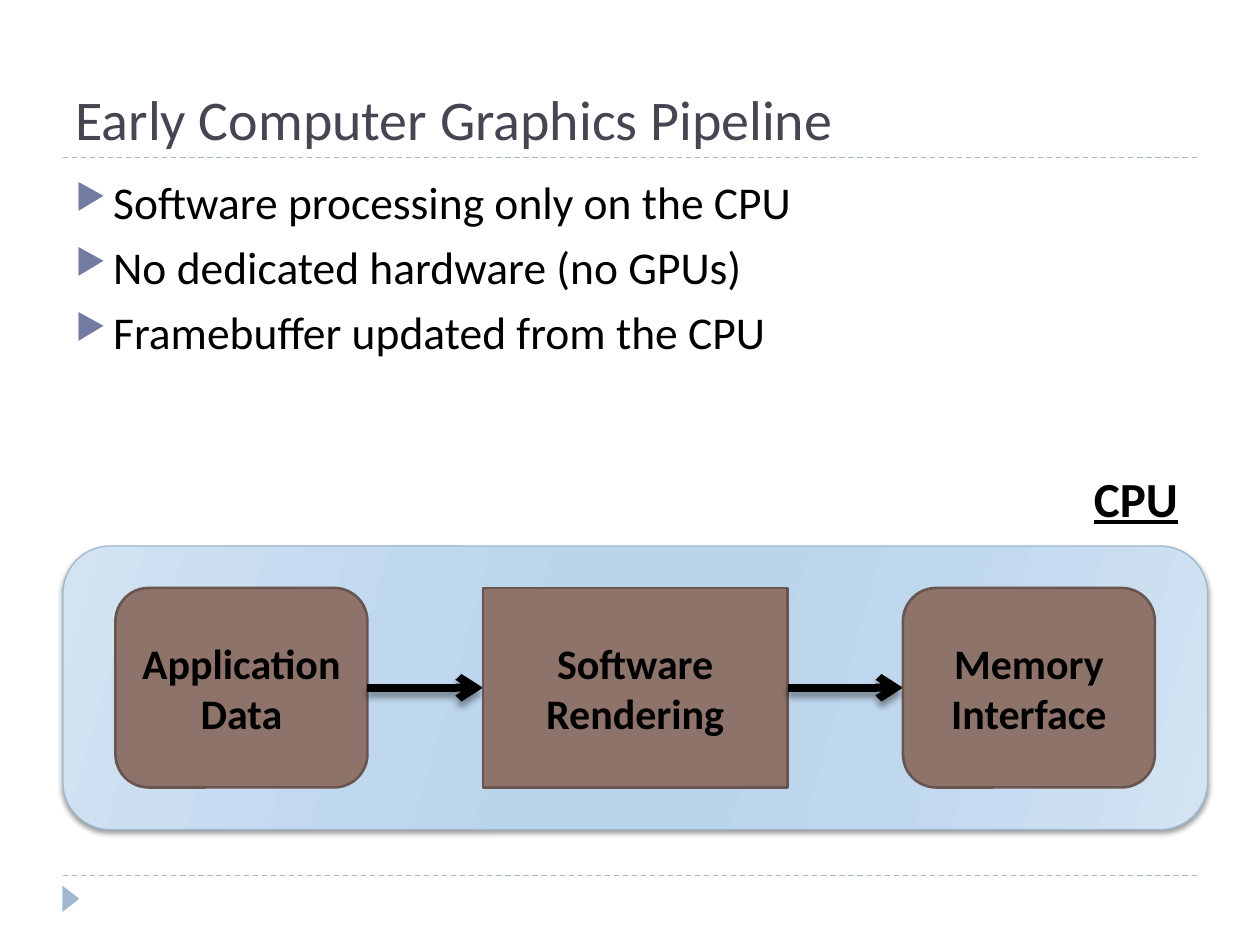
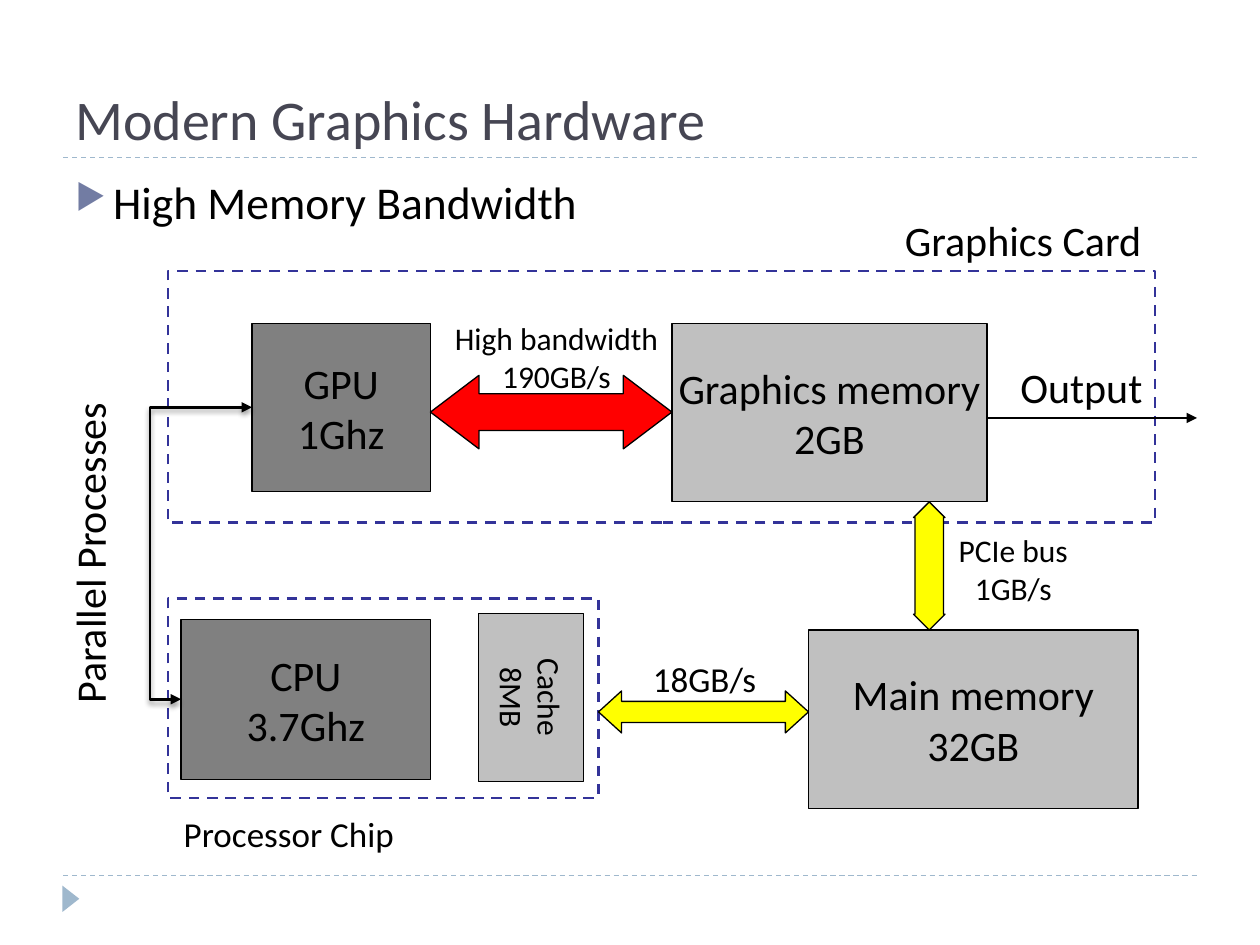
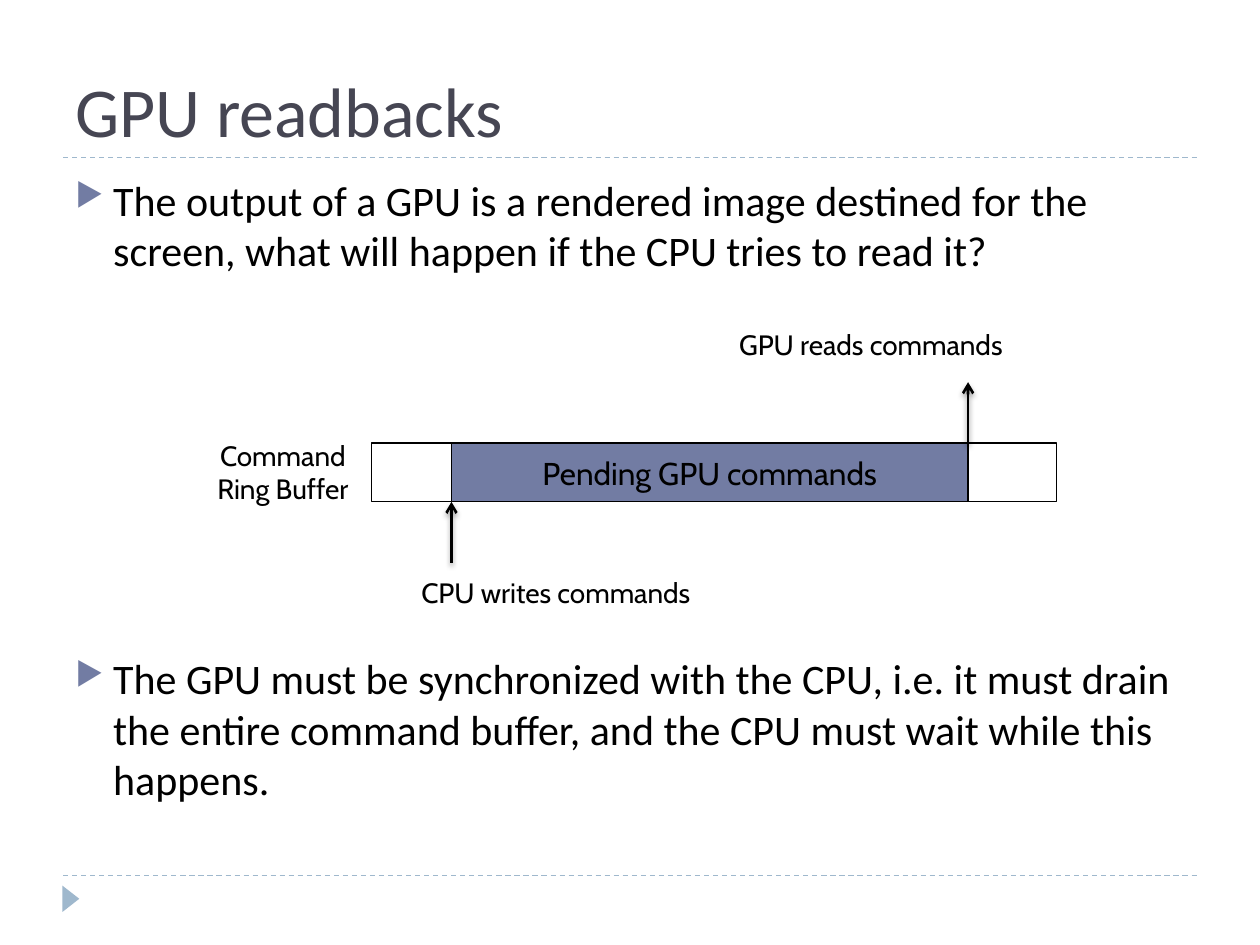
from dataclasses import dataclass
from typing import NamedTuple

from lxml import etree
from pptx import Presentation
from pptx import util as u
from pptx.dml.color import RGBColor
from pptx.enum import dml, shapes, text
from pptx.oxml import ns

WIDTH, HEIGHT = u.Inches(10), u.Inches(7.5)
COLUMNS, ROWS = 120, 90
FONT = "Calibri"
LABEL_FONT = "Cabin"
COLORS = {
    "black": "000000", "white": "FFFFFF", "title": "464653", "rule": "9FB8CD",
    "bullet": "727CA3", "stage": "8E736A", "stage_edge": "69554E",
    "frame": "333399", "processor": "808080", "memory": "C0C0C0",
    "fast": "FF0000", "slow": "FFFF00",
}
PANEL_STOPS = ((0, "D3E3F2"), (30, "C0D8EE"), (45, "BAD4EC"),
               (55, "BAD4EC"), (73, "C0D8EE"), (100, "D3E3F2"))
PANEL_ANGLE = 16
SHAPE = shapes.MSO_SHAPE
LEFT, CENTER, RIGHT = text.PP_ALIGN.LEFT, text.PP_ALIGN.CENTER, text.PP_ALIGN.RIGHT
TOP, MIDDLE, BOTTOM = text.MSO_ANCHOR.TOP, text.MSO_ANCHOR.MIDDLE, text.MSO_ANCHOR.BOTTOM


class Area(NamedTuple):
    """Left column, top row, columns and rows on the slide grid."""
    col: float
    row: float
    cols: float
    rows: float


class Point(NamedTuple):
    col: float
    row: float


class Shadow(NamedTuple):
    blur: float
    distance: float


SOFT, HEAVY = Shadow(3, 2), Shadow(4, 3.4)


@dataclass(frozen=True)
class Style:
    size: float = 24
    font: str = FONT
    color: str = "black"
    bold: bool = False
    underline: bool = False
    align: text.PP_ALIGN = CENTER
    anchor: text.MSO_ANCHOR = MIDDLE
    wrap: bool = False


@dataclass(frozen=True)
class Block:
    area: Area
    lines: tuple[str, ...] = ()
    style: Style = Style()
    fill: str | None = None
    edge: str | None = "black"
    edge_width: float = 0.75
    dashed: bool = False
    kind: SHAPE = SHAPE.RECTANGLE
    adjust: tuple[float, ...] = ()
    rotation: float = 0


@dataclass(frozen=True)
class Label:
    area: Area
    lines: tuple[str, ...]
    style: Style
    rotation: float = 0


@dataclass(frozen=True)
class Arrow:
    start: Point
    end: Point
    width: float = 1.5
    head: str | None = None
    tail: str | None = "arrow"
    shadow: Shadow | None = None
    color: str = "black"
    dashed: bool = False
    kind: shapes.MSO_CONNECTOR = shapes.MSO_CONNECTOR.STRAIGHT


def x(cols: float) -> int:
    return round(WIDTH * cols / COLUMNS)


def y(rows: float) -> int:
    return round(HEIGHT * rows / ROWS)


def box(area: Area) -> tuple[int, int, int, int]:
    return x(area.col), y(area.row), x(area.cols), y(area.rows)


def rgb(name: str) -> RGBColor:
    return RGBColor.from_string(COLORS[name])


def child(parent, tag: str, **attrs):
    e = etree.SubElement(parent, ns.qn(tag))
    for key, value in attrs.items():
        e.set(key, str(value))
    return e


def set_shadow(sp, shadow: Shadow | None) -> None:
    """Give a shape a downward shadow, or an empty effect list."""
    pr = sp._element.spPr
    for old in pr.findall(ns.qn("a:effectLst")):
        pr.remove(old)
    effects = child(pr, "a:effectLst")
    if shadow:
        outer = child(effects, "a:outerShdw", blurRad=u.Pt(shadow.blur),
                      dist=u.Pt(shadow.distance), dir=90 * 60000, rotWithShape=0)
        color = child(outer, "a:srgbClr", val=COLORS["black"])
        child(color, "a:alpha", val=40000)


def set_gradient(sp, stops, angle: float) -> None:
    sp.fill.gradient()
    grad = sp._element.spPr.find(ns.qn("a:gradFill"))
    for old in list(grad):
        grad.remove(old)
    stop_list = child(grad, "a:gsLst")
    for position, color in stops:
        stop = child(stop_list, "a:gs", pos=position * 1000)
        child(stop, "a:srgbClr", val=color)
    child(grad, "a:lin", ang=angle * 60000, scaled=0)


def add_run(p, words: str, style: Style) -> None:
    p.alignment = style.align
    r = p.add_run()
    r.text = words
    r.font.name, r.font.size = style.font, u.Pt(style.size)
    r.font.bold, r.font.underline = style.bold, style.underline
    r.font.color.rgb = rgb(style.color)


def paragraphs(tf, lines: tuple[str, ...]):
    for i, line in enumerate(lines):
        yield (tf.add_paragraph() if i else tf.paragraphs[0]), line


def write(tf, lines: tuple[str, ...], style: Style) -> None:
    tf.word_wrap, tf.vertical_anchor = style.wrap, style.anchor
    for p, line in paragraphs(tf, lines):
        add_run(p, line, style)


def add_block(slide, block: Block):
    sp = slide.shapes.add_shape(block.kind, *box(block.area))
    sp.shadow.inherit = False
    sp.rotation = block.rotation
    for i, value in enumerate(block.adjust):
        sp.adjustments[i] = value
    if block.fill:
        sp.fill.solid()
        sp.fill.fore_color.rgb = rgb(block.fill)
    else:
        sp.fill.background()
    if block.edge:
        sp.line.color.rgb = rgb(block.edge)
        sp.line.width = u.Pt(block.edge_width)
        if block.dashed:
            sp.line.dash_style = dml.MSO_LINE.DASH
    else:
        sp.line.fill.background()
    write(sp.text_frame, block.lines, block.style)
    return sp


def add_label(slide, label: Label) -> None:
    sp = slide.shapes.add_textbox(*box(label.area))
    sp.rotation = label.rotation
    write(sp.text_frame, label.lines, label.style)


def add_arrow(slide, arrow: Arrow):
    c = slide.shapes.add_connector(arrow.kind, x(arrow.start.col), y(arrow.start.row),
                                   x(arrow.end.col), y(arrow.end.row))
    c.line.color.rgb, c.line.width = rgb(arrow.color), u.Pt(arrow.width)
    if arrow.dashed:
        c.line.dash_style = dml.MSO_LINE.DASH
    ln = c.line._get_or_add_ln()
    for tag, kind in (("a:headEnd", arrow.head), ("a:tailEnd", arrow.tail)):
        if kind:
            child(ln, tag, type=kind)
    set_shadow(c, arrow.shadow)
    return c


def bend_outside(c, share: float) -> None:
    """Move an elbow's middle leg beyond its end, to a share of its width."""
    xfrm = c._element.spPr.find(ns.qn("a:xfrm"))
    xfrm.attrib.pop("flipH", None)
    xfrm.set("rot", str(180 * 60000))
    xfrm.set("flipV", "1")
    geometry = c._element.spPr.find(ns.qn("a:prstGeom"))
    guides = geometry.find(ns.qn("a:avLst"))
    if guides is None:
        guides = child(geometry, "a:avLst")
    child(guides, "a:gd", name="adj1", fmla=f"val {round(share * 100000)}")


def add_bullets(slide, lines: tuple[str, ...], size: float, gap: float = 6) -> None:
    """Write bullets, with gap points above each one after the first."""
    tf = slide.shapes.add_textbox(*box(Area(6, 16, 108, 64.8))).text_frame
    tf.word_wrap = True
    for i, (p, line) in enumerate(paragraphs(tf, lines)):
        add_run(p, line, Style(size, align=LEFT))
        p.space_before = u.Pt(gap if i else 6)
        pr = p._p.get_or_add_pPr()
        pr.set("marL", str(u.Inches(0.3)))
        pr.set("indent", str(u.Inches(-0.3)))
        child(child(pr, "a:buClr"), "a:srgbClr", val=COLORS["bullet"])
        child(pr, "a:buSzPct", val=76000)
        child(pr, "a:buChar", char="▶")


def new_slide(prs, title: str, size: float = 32):
    """Add a slide with its title, both rules and the corner marker."""
    slide = prs.slides.add_slide(prs.slide_layouts[6])
    for row in (83.4, 15):
        add_arrow(slide, Arrow(Point(6, row), Point(114, row), 0.75, tail=None,
                               color="rule", dashed=True))
    add_block(slide, Block(Area(5.5, 84.8, 2.5, 1.6), fill="rule", edge=None,
                           kind=SHAPE.ISOSCELES_TRIANGLE, rotation=90))
    add_label(slide, Label(Area(6, 2, 108, 13), (title,),
                           Style(size, color="title", align=LEFT, anchor=BOTTOM, wrap=True)))
    return slide


def early_pipeline(prs) -> None:
    slide = new_slide(prs, "Early Computer Graphics Pipeline")
    panel = add_block(slide, Block(Area(6, 52, 109, 27), edge="rule",
                                   kind=SHAPE.ROUNDED_RECTANGLE))
    set_gradient(panel, PANEL_STOPS, PANEL_ANGLE)
    set_shadow(panel, SOFT)
    add_bullets(slide, ("Software processing only on the CPU",
                        "No dedicated hardware (no GPUs)",
                        "Framebuffer updated from the CPU"), 26)
    col, row, rows, gap = 11, 56, 19, 11
    middle = row + rows / 2
    stages = (("Application Data", 24, ()), ("Software Rendering", 29, (0,)),
              ("Memory Interface", 24, ()))
    for i, (name, cols, adjust) in enumerate(stages):
        if i:
            add_arrow(slide, Arrow(Point(col - gap, middle), Point(col, middle), 4.5,
                                   shadow=HEAVY))
        add_block(slide, Block(Area(col, row, cols, rows), (name,),
                               Style(bold=True, wrap=True), "stage", "stage_edge", 1.5,
                               kind=SHAPE.ROUNDED_RECTANGLE, adjust=adjust))
        col += cols + gap
    add_label(slide, Label(Area(103, 44, 16, 6.8), ("CPU",),
                           Style(28, bold=True, underline=True, align=LEFT, anchor=TOP,
                                 wrap=True)))


def modern_hardware(prs) -> None:
    slide = new_slide(prs, "Modern Graphics Hardware")
    add_bullets(slide, ("High Memory Bandwidth",), 26)
    for frame in (Area(16, 25.8, 94, 24), Area(16, 57, 41, 19)):
        add_block(slide, Block(frame, edge="frame", edge_width=1.5, dashed=True))
    units = (
        Block(Area(24, 30.8, 17, 16), ("GPU", "1Ghz"), fill="processor"),
        Block(Area(64, 30.8, 30, 17), ("Graphics memory", "2GB"), fill="memory"),
        Block(Area(17.25, 59, 23.75, 15.25), ("CPU", "3.7Ghz"), fill="processor"),
        Block(Area(77, 60, 31.4, 17), ("Main memory", "32GB"), fill="memory"),
        Block(Area(42.6, 61.4, 16, 10), ("Cache", "8MB"), Style(18), "memory", rotation=90),
    )
    buses = (
        Block(Area(41, 35.75, 23, 7), fill="fast", kind=SHAPE.LEFT_RIGHT_ARROW,
              adjust=(0.5, 0.66)),
        Block(Area(87, 47.8, 3, 12.2), fill="slow", kind=SHAPE.UP_DOWN_ARROW,
              adjust=(0.5, 0.9)),
        Block(Area(57, 65.8, 20, 4), fill="slow", kind=SHAPE.LEFT_RIGHT_ARROW,
              adjust=(0.5, 0.55)),
    )
    for block in units + buses:
        add_block(slide, block)
    name = Style(align=LEFT, anchor=TOP)
    rate = Style(18, anchor=TOP)
    labels = (
        Label(Area(89, 50, 15, 8.4), ("PCIe bus", "1GB/s"), rate),
        Label(Area(42, 29.8, 22, 8.5), ("High bandwidth", "190GB/s"), rate),
        Label(Area(61, 62, 12.4, 5.3), ("18GB/s",), Style(20, align=LEFT, anchor=TOP)),
        Label(Area(96, 33.8, 14.2, 6), ("Output",), name),
        Label(Area(85, 19.8, 25.7, 6), ("Graphics Card",), name),
        Label(Area(-7.1, 49.6, 31.2, 6), ("Parallel Processes",), name, 270),
        Label(Area(16, 76.8, 22.7, 5.2), ("Processor Chip",),
              Style(20, align=RIGHT, anchor=TOP)),
    )
    for label in labels:
        add_label(slide, label)
    add_arrow(slide, Arrow(Point(94, 39.8), Point(114, 39.8), 0.75, tail="triangle"))
    link = add_arrow(slide, Arrow(Point(24, 38.8), Point(17.25, 66.6), head="triangle",
                                  tail="triangle", shadow=SOFT,
                                  kind=shapes.MSO_CONNECTOR.ELBOW))
    bend_outside(link, 1.44)


def readbacks(prs) -> None:
    slide = new_slide(prs, "GPU readbacks", 40)
    add_bullets(slide, (
        "The output of a GPU is a rendered image destined for the screen, "
        "what will happen if the CPU tries to read it?",
        "The GPU must be synchronized with the CPU, i.e. it must drain the entire "
        "command buffer, and the CPU must wait while this happens."), 24, 216)
    top, rows, write_col, read_col = 42.2, 5.6, 43, 92.2
    add_block(slide, Block(Area(35.4, top, 65.2, rows), fill="white"))
    add_block(slide, Block(Area(write_col, top, read_col - write_col, rows),
                           ("Pending GPU commands",), Style(18, LABEL_FONT), "bullet"))
    captions = (
        (Area(45.4, 53.6, 15.1, rows), ("CPU writes commands",)),
        (Area(75.4, 30, 15.1, rows), ("GPU reads commands",)),
        (Area(19.4, 40.1, 15.1, 9.7), ("Command", "Ring Buffer")),
    )
    for area, lines in captions:
        add_block(slide, Block(area, lines, Style(16, LABEL_FONT), "white", None))
    for col, start in ((write_col, top + rows + 5.8), (read_col, top)):
        add_arrow(slide, Arrow(Point(col, start), Point(col, start - 5.8), shadow=SOFT))


def main() -> None:
    prs = Presentation()
    prs.slide_width, prs.slide_height = WIDTH, HEIGHT
    for build in (early_pipeline, modern_hardware, readbacks):
        build(prs)
    prs.save("out.pptx")


if __name__ == "__main__":
    main()
